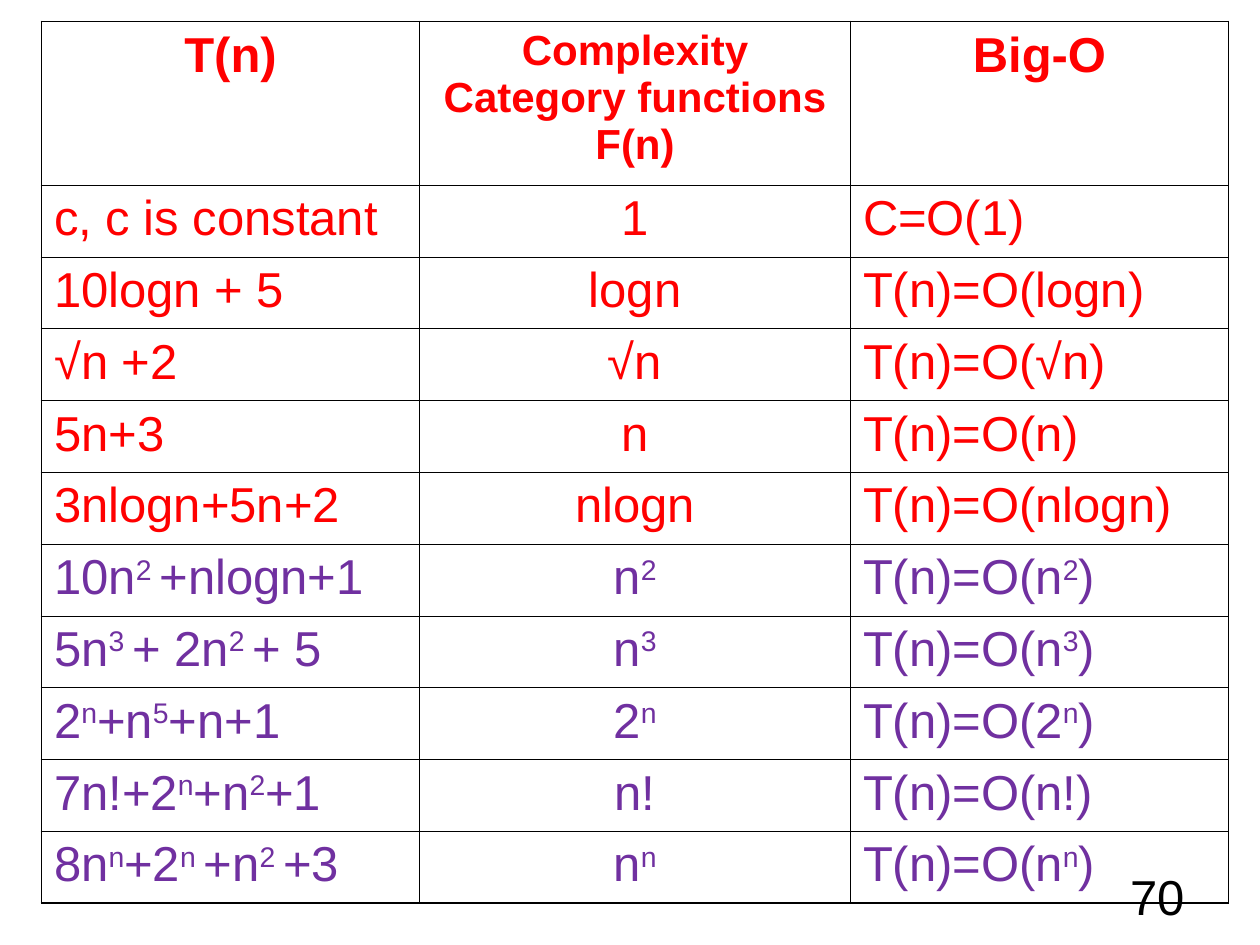
import pptx
import pptx.util
import pptx.dml.color
import pptx.enum.text
from lxml import etree

Inches = pptx.util.Inches
Pt = pptx.util.Pt
ALIGN = pptx.enum.text.PP_ALIGN
NS = "http://schemas.openxmlformats.org/drawingml/2006/main"

COLORS = {"red": "FF0000", "purple": "7030A0", "black": "000000"}
THICK, THIN = 1.08, 0.45

# Text between a pair of ^ marks is superscript
HEADER = ["T(n)", "Complexity Category functions F(n)", "Big-O"]
ROWS = [
    ["c, c is constant", "1", "C=O(1)"],
    ["10logn + 5", "logn", "T(n)=O(logn)"],
    ["√n +2", "√n", "T(n)=O(√n)"],
    ["5n+3", "n", "T(n)=O(n)"],
    ["3nlogn+5n+2", "nlogn", "T(n)=O(nlogn)"],
    ["10n^2 ^+nlogn+1", "n^2^", "T(n)=O(n^2^)"],
    ["5n^3 ^+ 2n^2 ^+ 5", "n^3^", "T(n)=O(n^3^)"],
    ["2^n^+n^5^+n+1", "2^n^", "T(n)=O(2^n^)"],
    ["7n!+2^n^+n^2^+1", "n!", "T(n)=O(n!)"],
    ["8n^n^+2^n ^+n^2 ^+3", "n^n^", "T(n)=O(n^n^)"],
]
FIRST_PURPLE_ROW = 6
COL_WIDTHS = [3, 3.42, 3]
HEADER_HEIGHT, ROW_HEIGHT = 1.3, 0.57


def write_text(tf, text, color, align, size=28, bold=False):
    p = tf.paragraphs[0]
    p.alignment = align
    for i, part in enumerate(text.split("^")):
        if not part:
            continue
        r = p.add_run()
        r.text = part
        formats = {"name": "Arial", "size": Pt(size), "bold": bold}
        for name, value in formats.items():
            setattr(r.font, name, value)
        r.font.color.rgb = pptx.dml.color.RGBColor.from_string(COLORS[color])
        if i % 2:
            r.font._element.set("baseline", "30000")


def set_borders(cell, widths):
    tc_pr = cell._tc.get_or_add_tcPr()
    for side, width in widths.items():
        ln = etree.SubElement(tc_pr, f"{{{NS}}}ln{side}", w=str(int(Pt(width))))
        fill = etree.SubElement(ln, f"{{{NS}}}solidFill")
        etree.SubElement(fill, f"{{{NS}}}srgbClr", val=COLORS["black"])


def add_complexity_table(s):
    data = [HEADER] + ROWS
    last_row, last_col = len(data) - 1, len(HEADER) - 1
    height = HEADER_HEIGHT + ROW_HEIGHT * len(ROWS)
    table = s.shapes.add_table(len(data), len(HEADER), Inches(0.33), Inches(0.17),
                               Inches(sum(COL_WIDTHS)), Inches(height)).table
    table.first_row = table.horz_banding = False
    for col, width in zip(table.columns, COL_WIDTHS):
        col.width = Inches(width)

    for i, values in enumerate(data):
        header = i == 0
        table.rows[i].height = Inches(HEADER_HEIGHT if header else ROW_HEIGHT)
        for j, text in enumerate(values):
            cell = table.cell(i, j)
            # Outer edges are thicker than inner lines
            set_borders(cell, {
                "L": THICK if j == 0 else THIN,
                "R": THICK if j == last_col else THIN,
                "T": THICK if header else THIN,
                "B": THICK if i == last_row else THIN,
            })
            cell.fill.background()
            write_text(cell.text_frame, text,
                       "purple" if i >= FIRST_PURPLE_ROW else "red",
                       ALIGN.CENTER if header or j == 1 else ALIGN.LEFT,
                       size=24 if header and j == 1 else 28, bold=header)


def add_page_number(s, number):
    sp = s.shapes.add_textbox(Inches(7.17), Inches(6.83), Inches(2.33), Inches(0.52))
    sp.text_frame.word_wrap = True
    write_text(sp.text_frame, number, "black", ALIGN.RIGHT)


def main():
    prs = pptx.Presentation()
    prs.slide_width, prs.slide_height = Inches(10), Inches(7.5)
    s = prs.slides.add_slide(prs.slide_layouts[6])
    add_page_number(s, "70")
    add_complexity_table(s)
    prs.save("out.pptx")


if __name__ == "__main__":
    main()
